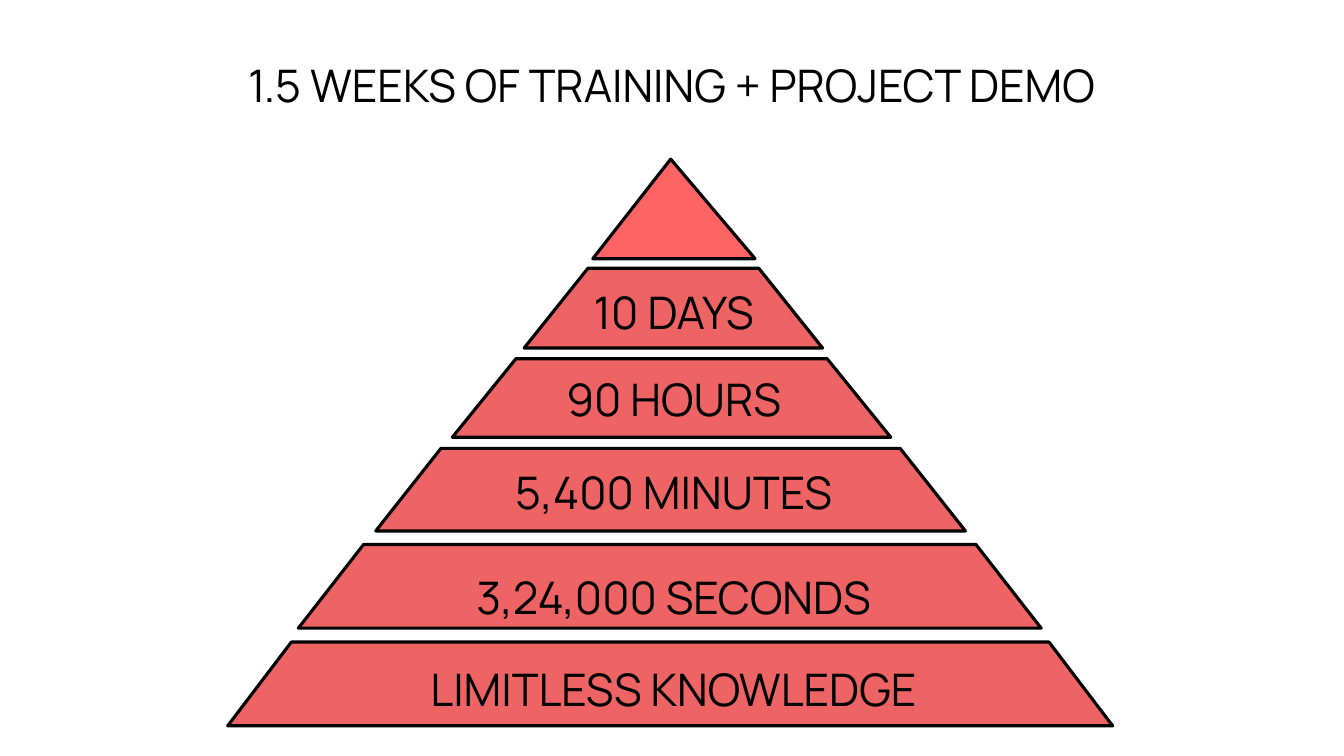
import pptx
import pptx.util
import pptx.dml.color
import pptx.enum.shapes
import pptx.enum.text

Cm = pptx.util.Cm
SHAPES = pptx.enum.shapes.MSO_SHAPE
LABEL_CENTER = 11.24

TIERS = [
    ((7.47, 2.75, 7.52, 2.01), 0.8),
    ((5.66, 5.03, 11.05, 1.98), 0.81),
    ((3.73, 7.29, 14.86, 2.08), 0.79),
    ((1.78, 9.71, 18.72, 2.11), 0.78),
    ((0, 12.17, 22.3, 2.11), 0.76),
]
LABELS = [
    ("10 DAYS", 3.03, 6.15, 1.63, 1.0),
    ("90 HOURS", 5.21, 7.52, 1.63, 1.0),
    ("5,400 MINUTES", 7.57, 11.05, 1.63, 1.0),
    ("3,24,000 SECONDS", 9.2, 24.87, 3.51, 1.1),
    ("LIMITLESS KNOWLEDGE", 11.53, 24.87, 3.51, 1.1),
]


def color(value):
    """Return the colour for a hex string."""
    return pptx.dml.color.RGBColor.from_string(value)


def add_label(slide, box, text, line_spacing, bottom_inset=0):
    """Add one centred line of text in the given box."""
    frame = slide.shapes.add_textbox(*map(Cm, box)).text_frame
    frame.word_wrap = True
    frame.vertical_anchor = pptx.enum.text.MSO_ANCHOR.MIDDLE
    frame.margin_left = frame.margin_right = frame.margin_top = 0
    frame.margin_bottom = Cm(bottom_inset)
    paragraph = frame.paragraphs[0]
    paragraph.text = text
    paragraph.alignment = pptx.enum.text.PP_ALIGN.CENTER
    paragraph.line_spacing = line_spacing
    paragraph.font.name = "Manrope"
    paragraph.font.size = pptx.util.Pt(32)
    paragraph.font.color.rgb = color("000000")


def add_tier(slide, kind, box, adjustment, fill):
    """Add one outlined layer of the pyramid."""
    shape = slide.shapes.add_shape(kind, *map(Cm, box))
    shape.adjustments[0] = adjustment
    shape.shadow.inherit = False
    shape.fill.solid()
    shape.fill.fore_color.rgb = color(fill)
    shape.line.color.rgb = color("000000")
    shape.line.width = pptx.util.Pt(2.25)


def add_pyramid(slide, left, top):
    """Place the peak, the tiers and their labels from the top left corner."""
    peak = (left + 9.2, top, 4.09, 2.51)
    add_tier(slide, SHAPES.ISOSCELES_TRIANGLE, peak, 0.48, "FF6464")
    for (x, y, width, height), adjustment in TIERS:
        box = (left + x, top + y, width, height)
        add_tier(slide, SHAPES.TRAPEZOID, box, adjustment, "EE6464")
    for text, y, width, height, line_spacing in LABELS:
        box = (left + LABEL_CENTER - width / 2, top + y, width, height)
        add_label(slide, box, text, line_spacing)


def main():
    """Build and save the training pyramid slide."""
    presentation = pptx.Presentation()
    presentation.slide_width = Cm(33.87)
    presentation.slide_height = Cm(19.05)
    slide = presentation.slides.add_slide(presentation.slide_layouts[6])
    title = "1.5 WEEKS OF TRAINING + PROJECT DEMO"
    add_label(slide, (0, 0.61, 33.87, 4.27), title, 1.1, bottom_inset=1.37)
    add_pyramid(slide, 5.74, 4.01)
    presentation.save("out.pptx")


if __name__ == "__main__":
    main()
